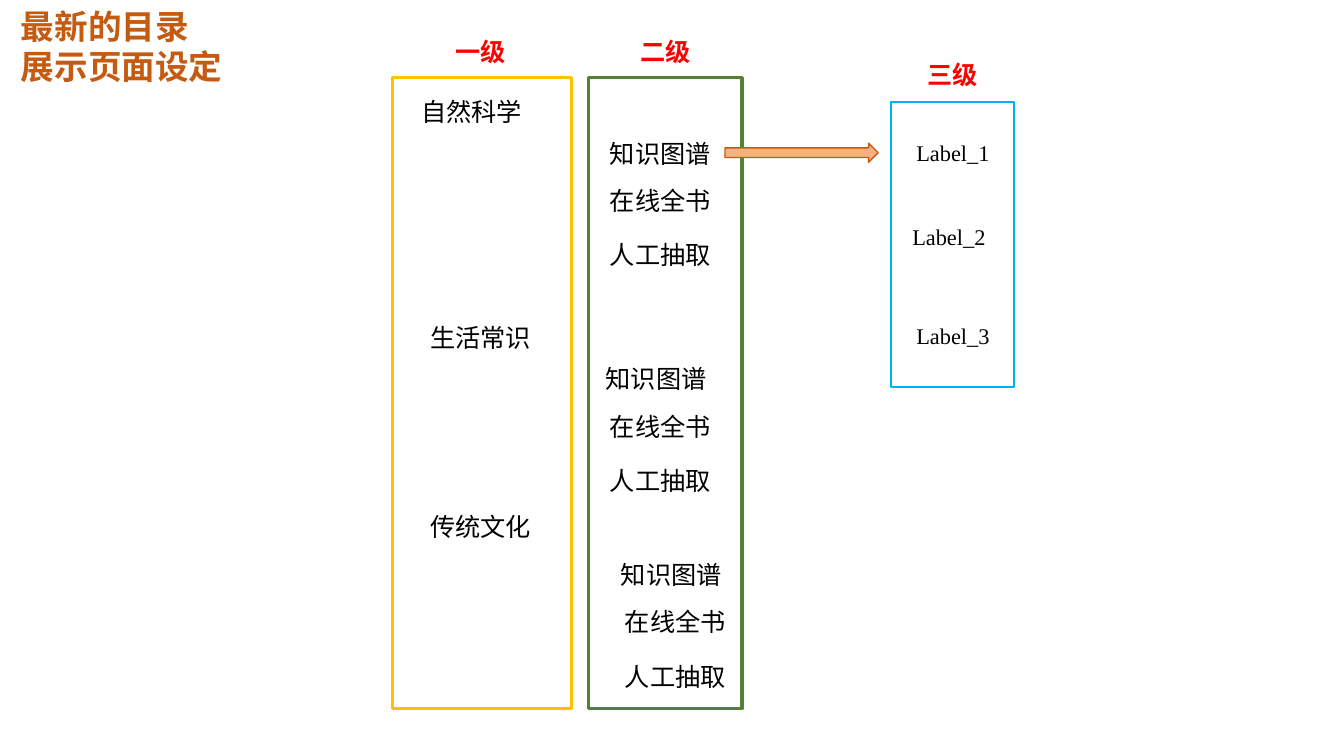
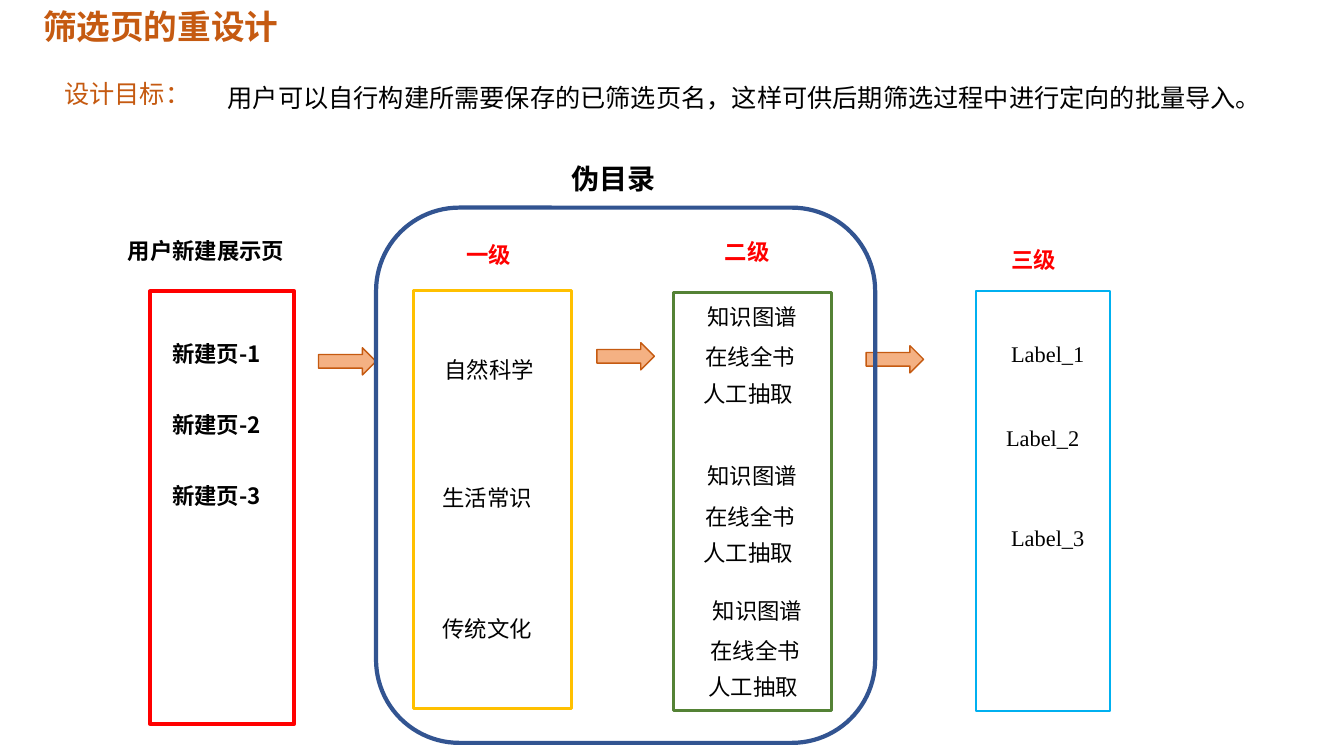
from lxml.etree import SubElement
from pptx import Presentation
from pptx.dml.color import RGBColor
from pptx.enum.shapes import MSO_SHAPE
from pptx.enum.text import MSO_AUTO_SIZE
from pptx.oxml.ns import qn
from pptx.util import Pt

# Shared look: one px is a hundredth of an inch
EMU_PER_PX = 9144
COLORS = {
    "title": "C55A11",
    "text": "000000",
    "red": "FF0000",
    "yellow": "FFC000",
    "green": "548235",
    "cyan": "00B0F0",
    "navy": "325491",
    "arrow": "F4B183",
}
CHINESE_FONT = "Noto Sans CJK SC"
LATIN_FONT = "Times New Roman"


def text_style(size, height, color="text", bold=False, wrap=False, name=CHINESE_FONT):
    return {
        "font": {"size": Pt(size), "bold": bold, "name": name},
        "color": color,
        "height": height,
        "wrap": wrap,
    }


STYLES = {
    "title": text_style(24, 50, "title", bold=True),
    "caption": text_style(20, 44, bold=True),
    "goal": text_style(18, 40, "title"),
    "body": text_style(18, 40),
    "level": text_style(18, 40, "red", bold=True),
    "small body": text_style(16, 37, wrap=True),
    "small bold": text_style(16, 37, bold=True, wrap=True),
    "small level": text_style(16, 37, "red", bold=True, wrap=True),
    "label": text_style(16, 37, wrap=True, name=LATIN_FONT),
}

# Wording used on both slides
LEVELS = ["一级", "二级", "三级"]
TOPICS = ["自然科学", "生活常识", "传统文化"]
SOURCES = ["知识图谱", "在线全书", "人工抽取"]
LABELS = ["Label_1", "Label_2", "Label_3"]


def px(*lengths):
    return [length * EMU_PER_PX for length in lengths]


def rgb(color):
    return RGBColor.from_string(COLORS[color])


def set_formats(target, formats):
    for attribute, value in formats.items():
        setattr(target, attribute, value)


# Elements
def add_text(slide, text, left, top, width, style_name):
    style = STYLES[style_name]
    shape = slide.shapes.add_textbox(*px(left, top, width, style["height"]))
    frame = shape.text_frame
    frame.text = text
    set_formats(frame, {
        "word_wrap": style["wrap"],
        "auto_size": MSO_AUTO_SIZE.SHAPE_TO_FIT_TEXT,
    })
    for paragraph in frame.paragraphs:
        for run in paragraph.runs:
            set_formats(run.font, style["font"])
            run.font.color.rgb = rgb(style["color"])
            east_asian = SubElement(run.font._element, qn("a:ea"))
            east_asian.set("typeface", style["font"]["name"])


def add_texts(slide, texts, positions, width, style_name):
    for text, (left, top) in zip(texts, positions):
        add_text(slide, text, left, top, width, style_name)


def add_outlined(slide, kind, box, line_color, line_width, fill_color=None):
    shape = slide.shapes.add_shape(kind, *px(*box))
    shape.shadow.inherit = False
    if fill_color:
        shape.fill.solid()
        shape.fill.fore_color.rgb = rgb(fill_color)
    else:
        shape.fill.background()
    shape.line.color.rgb = rgb(line_color)
    shape.line.width = Pt(line_width)


def add_frame(slide, box, color, line_width=2.25, kind=MSO_SHAPE.RECTANGLE):
    add_outlined(slide, kind, box, color, line_width)


def add_arrow(slide, *box):
    add_outlined(slide, MSO_SHAPE.RIGHT_ARROW, box, "title", 1, "arrow")


# Slides
def build_directory_slide(slide):
    add_text(slide, "最新的目录\n展示页面设定", 11, 1, 223, "title")

    # Level one and level two entries
    add_texts(slide, TOPICS, [(408, 91), (417, 315), (417, 502)], 121, "body")
    for left, top, indent in [(595, 132, 0), (591, 356, 4), (606, 550, 4)]:
        positions = [(left, top), (left + indent, top + 47), (left + indent, top + 101)]
        add_texts(slide, SOURCES, positions, 121, "body")

    # Column frames and the link to level three
    add_frame(slide, (389, 77, 178, 626), "yellow")
    add_frame(slide, (584, 77, 152, 626), "green")
    add_frame(slide, (884, 101, 122, 283), "cyan", 1.5)
    add_arrow(slide, 719, 142, 152, 19)

    add_texts(slide, LABELS, [(899, 133), (895, 216), (899, 315)], 94, "label")
    add_texts(slide, LEVELS, [(442, 31), (625, 31), (910, 54)], 71, "level")


def build_filter_slide(slide):
    # Title and goal
    add_text(slide, "筛选页的重设计", 33, 1, 257, "title")
    add_text(slide, "设计目标：", 54, 73, 146, "goal")
    add_text(
        slide,
        "用户可以自行构建所需要保存的已筛选页名，这样可供后期筛选过程中进行定向的批量导入。",
        216, 77, 1055, "body",
    )

    # Column frames
    add_frame(slide, (149, 289, 143, 429), "red", 3)
    add_frame(slide, (410, 288, 157, 415), "yellow")
    add_frame(slide, (668, 290, 157, 415), "green")
    add_frame(slide, (968, 289, 133, 416), "cyan", 1.5)

    # Arrows between columns, below the outline of the pseudo directory
    for left, top in [(316, 345), (592, 340), (859, 343)]:
        add_arrow(slide, left, top, 57, 27)
    add_frame(slide, (373, 206, 495, 531), "navy", 3, MSO_SHAPE.ROUNDED_RECTANGLE)
    add_text(slide, "伪目录", 557, 155, 104, "caption")

    # Pages created by the user
    add_text(slide, "用户新建展示页", 117, 230, 206, "small bold")
    for number in range(1, 4):
        add_text(slide, f"新建页-{number}", 161, 263 + 70 * number, 111, "small bold")

    # Entries of the three levels
    add_texts(slide, LEVELS, [(453, 234), (709, 231), (993, 239)], 83, "small level")
    add_texts(slide, TOPICS, [(431, 348), (429, 475), (429, 605)], 128, "small body")
    for left, top in [(692, 296), (692, 454), (697, 587)]:
        positions = [(left, top), (left - 2, top + 40), (left - 4, top + 76)]
        add_texts(slide, SOURCES, positions, 129, "small body")
    add_texts(slide, LABELS, [(993, 333), (988, 416), (993, 515)], 102, "label")


def main():
    presentation = Presentation()
    presentation.slide_width, presentation.slide_height = px(1333, 750)
    blank_layout = presentation.slide_layouts[6]
    for build in (build_directory_slide, build_filter_slide):
        build(presentation.slides.add_slide(blank_layout))
    presentation.save("out.pptx")


if __name__ == "__main__":
    main()
